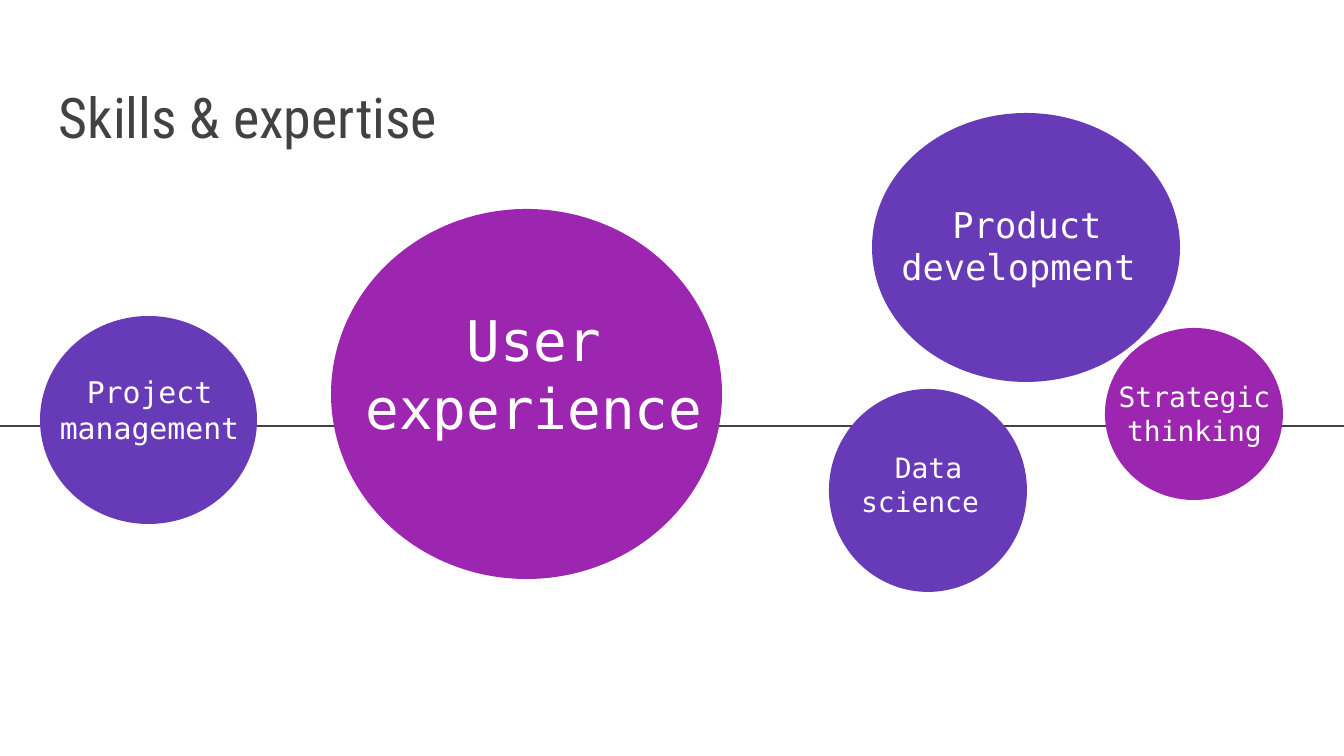
from pptx import Presentation
from pptx.dml.color import RGBColor
from pptx.enum.shapes import MSO_CONNECTOR, MSO_SHAPE
from pptx.enum.text import MSO_ANCHOR, PP_ALIGN
from pptx.oxml.ns import qn
from pptx.util import Pt
from lxml import etree

OVAL = MSO_SHAPE.OVAL
LINE = MSO_CONNECTOR.STRAIGHT
MIDDLE = MSO_ANCHOR.MIDDLE
BOTTOM = MSO_ANCHOR.BOTTOM
CENTER = PP_ALIGN.CENTER
LEFT = PP_ALIGN.LEFT
SCALE = 914400 / 134.4
COLORS = {"dark": "424242", "white": "FFFFFF", "violet": "673AB7", "purple": "9C26B0"}
MONO = "DejaVu Sans Mono"


def emu(*sizes):
    return [round(size * SCALE) for size in sizes]


def label(box, runs, font, color, anchor, align):
    frame = slide.shapes.add_textbox(*emu(*box)).text_frame
    frame.word_wrap = True
    frame.vertical_anchor = anchor
    frame.margin_left, frame.margin_right, frame.margin_top, frame.margin_bottom = emu(13, 13, 13, 13)
    para = frame.paragraphs[0]
    para.alignment = align
    for text, size in runs:
        run = para.add_run()
        run.text = text
        run.font.name = font
        run.font.size = Pt(size)
        run.font.color.rgb = RGBColor.from_string(COLORS[color])


deck = Presentation()
deck.slide_width, deck.slide_height = emu(1344, 756)
slide = deck.slides.add_slide(deck.slide_layouts[6])

axis = slide.shapes.add_connector(LINE, *emu(0, 426, 1344, 426))
axis.line.color.rgb = RGBColor.from_string(COLORS["dark"])
axis.line.width = Pt(1.5)
etree.SubElement(axis._element.spPr, qn("a:effectLst"))

label((46, 55, 1253, 108), [("Skills & expertise", 30)], "Roboto Condensed", "dark", BOTTOM, LEFT)

skills = [
    ((40, 316, 217, 208), "violet", (30, 335, 239, 149), [("Project management", 16)]),
    ((331, 209, 391, 370), "purple", (317, 287, 434, 172), [("User experience", 30)]),
    ((829, 389, 198, 203), "violet", (840, 444, 177, 81), [("Data science ", 15)]),
    ((1105, 328, 178, 172), "purple", (1075, 316, 239, 195), [("Strategic thinking", 15)]),
    ((872, 113, 308, 269), "violet", (886, 167, 282, 157), [("Product development", 19), (" ", 15)]),
]
for place, color, box, runs in skills:
    bubble = slide.shapes.add_shape(OVAL, *emu(*place))
    bubble.shadow.inherit = False
    bubble.fill.solid()
    bubble.fill.fore_color.rgb = RGBColor.from_string(COLORS[color])
    bubble.line.fill.background()
    label(box, runs, MONO, "white", MIDDLE, CENTER)

deck.save("out.pptx")
